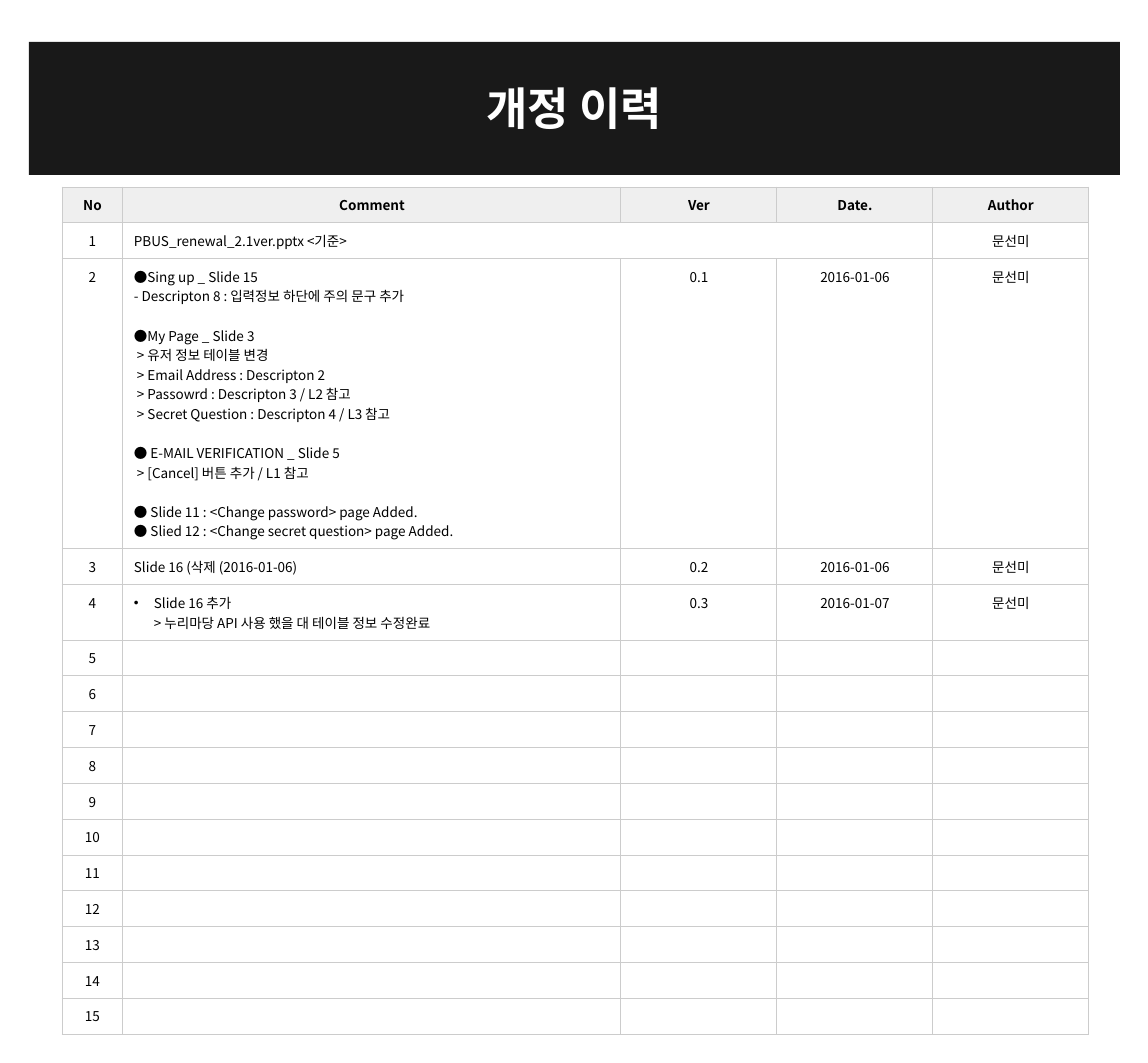
import lxml.etree
import pptx
import pptx.dml.color
import pptx.enum.shapes
import pptx.enum.text
import pptx.oxml.ns
import pptx.util

FONT = "Noto Sans CJK KR"
ALIGN = pptx.enum.text.PP_ALIGN
COLUMNS = [61, 498, 156, 156, 156]
ROW, LINE, LAST_NUMBER = 35, 20, 15
HEADINGS = ["No", "Comment", "Ver", "Date.", "Author"]
AUTHOR = "문선미"
CHANGES = [
    ("●Sing up _ Slide 15", {}),
    ("- Descripton 8 : 입력정보 하단에 주의 문구 추가", {}),
    ("●My Page _ Slide 3", {"before": 13}),
    ("> 유저 정보 테이블 변경", {"left": 3}),
    ("> Email Address : Descripton 2", {"left": 3}),
    ("> Passowrd : Descripton 3 / L2 참고", {"left": 3}),
    ("> Secret Question : Descripton 4 / L3 참고", {"left": 3}),
    ("● E-MAIL VERIFICATION _ Slide 5", {"before": 13}),
    ("> [Cancel] 버튼 추가 / L1 참고", {"left": 3}),
    ("● Slide 11 : <Change password> page Added.", {"before": 13}),
    ("● Slied 12 : <Change secret question> page Added.", {}),
]
REVISIONS = [
    ([("PBUS_renewal_2.1ver.pptx <기준>", {})], "", "", AUTHOR),
    (CHANGES, "0.1", "2016-01-06", AUTHOR),
    ([("Slide 16 (삭제 (2016-01-06)", {})], "0.2", "2016-01-06", AUTHOR),
    ([("Slide 16 추가", {"left": 20, "bullet": "•"}),
      ("> 누리마당 API 사용 했을 대 테이블 정보 수정완료", {"left": 20})],
     "0.3", "2016-01-07", AUTHOR),
]
ROW_HEIGHTS = {2: 290, 4: ROW + LINE}


def px(length):
    return pptx.util.Emu(round(length * 914400 / 108))


def color(value):
    return pptx.dml.color.RGBColor.from_string(value)


def add_element(parent, tag, **attributes):
    element = lxml.etree.SubElement(parent, pptx.oxml.ns.qn(tag))
    for name, value in attributes.items():
        element.set(name, str(value))
    return element


def write(para, text, size=9, bold=False, ink="000000", align=ALIGN.LEFT,
          left=0, before=0, bullet=None):
    para.alignment = align
    para.space_before = pptx.util.Pt(before)
    if left:
        properties = para._p.get_or_add_pPr()
        properties.set("marL", str(px(left)))
        properties.set("indent", str(-px(left) if bullet else 0))
        if bullet:
            add_element(properties, "a:buFont", typeface="Arial")
            add_element(properties, "a:buChar", char=bullet)
    if not text:
        add_element(para._p, "a:endParaRPr", sz=size * 100)
        return
    span = para.add_run()
    span.text = text
    span.font.size = pptx.util.Pt(size)
    span.font.bold = bold
    span.font.name = FONT
    span.font.color.rgb = color(ink)
    add_element(span._r.get_or_add_rPr(), "a:ea", typeface=FONT)


def format_cell(cell, fill=None):
    cell.margin_left = cell.margin_right = px(11)
    cell.margin_top = cell.margin_bottom = pptx.util.Pt(5.4)
    properties = cell._tc.get_or_add_tcPr()
    for side in "LRTB":
        border = add_element(properties, f"a:ln{side}", w=pptx.util.Pt(0.75))
        add_element(add_element(border, "a:solidFill"), "a:srgbClr", val="CCCCCC")
    if fill:
        cell.fill.solid()
        cell.fill.fore_color.rgb = color(fill)
    else:
        cell.fill.background()


def write_cell(cell, text, **style):
    write(cell.text_frame.paragraphs[0], text, align=ALIGN.CENTER, **style)


def add_banner(page, left, top, width, height):
    banner = page.shapes.add_shape(
        pptx.enum.shapes.MSO_SHAPE.RECTANGLE,
        px(left), px(top), px(width), px(height))
    banner.shadow.inherit = False
    banner.fill.solid()
    banner.fill.fore_color.rgb = color("191919")
    banner.line.fill.background()
    title = page.shapes.title
    title._element.addprevious(banner._element)
    title.left, title.top = px(left + 28), px(top)
    title.width, title.height = px(width - 57), px(height - 2)
    frame = title.text_frame
    frame.auto_size = pptx.enum.text.MSO_AUTO_SIZE.NONE
    frame.word_wrap = True
    frame.vertical_anchor = pptx.enum.text.MSO_ANCHOR.MIDDLE
    frame.margin_left = frame.margin_right = px(11)
    frame.margin_top = frame.margin_bottom = px(11)
    write(frame.paragraphs[0], "개정 이력", size=30, bold=True,
          ink="FFFFFF", align=ALIGN.CENTER)


def add_history(page, left, top):
    heights = [ROW_HEIGHTS.get(number, ROW) for number in range(LAST_NUMBER + 1)]
    holder = page.shapes.add_table(
        len(heights), len(COLUMNS),
        px(left), px(top), px(sum(COLUMNS)), px(sum(heights)))
    table = holder.table
    table.first_row = table.horz_banding = False
    for column, width in zip(table.columns, COLUMNS):
        column.width = px(width)
    for row, height in zip(table.rows, heights):
        row.height = px(height)
    for cell, heading in zip(table.rows[0].cells, HEADINGS):
        format_cell(cell, "EFEFEF")
        write_cell(cell, heading, bold=True)
    for number in range(1, LAST_NUMBER + 1):
        cells = list(table.rows[number].cells)
        for cell in cells:
            format_cell(cell)
        filled = number <= len(REVISIONS)
        comment, *details = REVISIONS[number - 1] if filled else ([("", {})], "", "", "")
        write_cell(cells[0], str(number))
        frame = cells[1].text_frame
        for index, (text, style) in enumerate(comment):
            para = frame.add_paragraph() if index else frame.paragraphs[0]
            write(para, text, **style)
        for cell, text in zip(cells[2:], details):
            write_cell(cell, text)
    table.cell(1, 1).merge(table.cell(1, 3))


def main():
    deck = pptx.Presentation()
    deck.slide_width, deck.slide_height = px(1148), px(1063)
    page = deck.slides.add_slide(deck.slide_layouts[5])
    add_banner(page, 29, 42, 1091, 133)
    add_history(page, 62, 187)
    deck.save("out.pptx")


if __name__ == "__main__":
    main()
